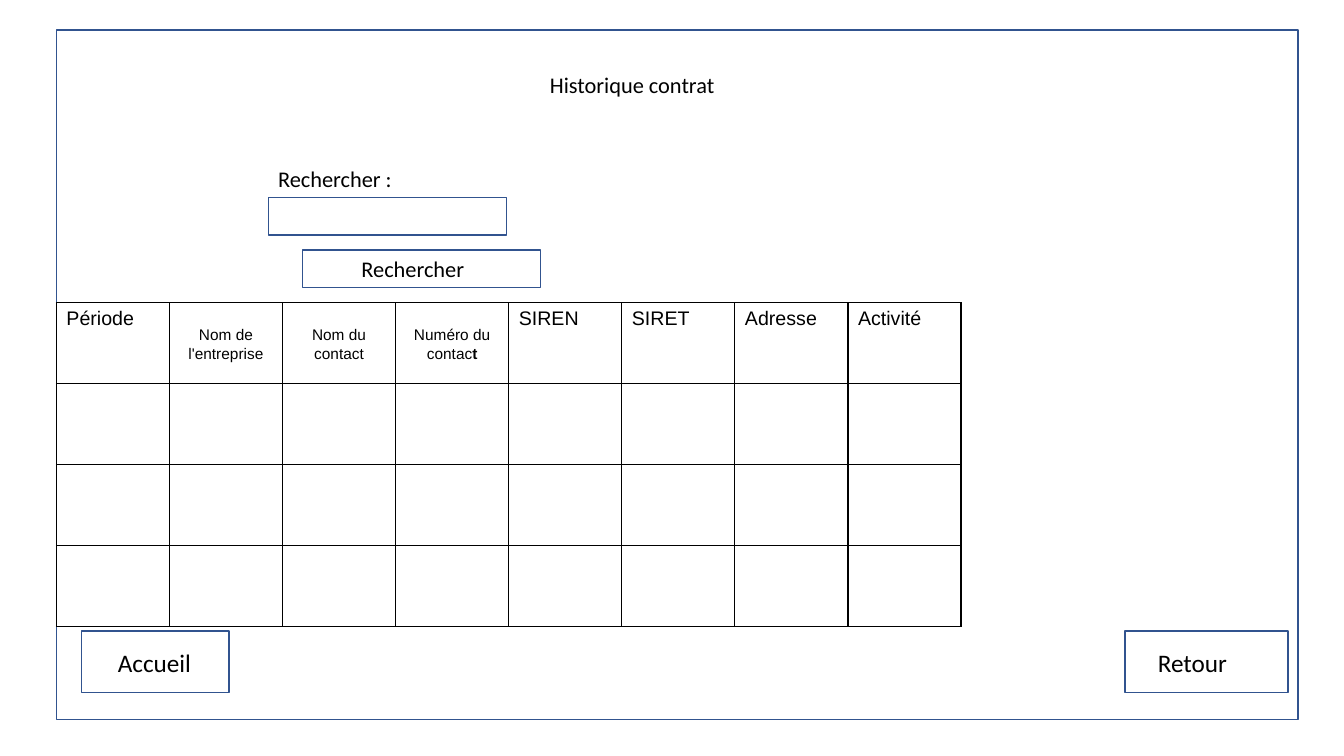
from lxml.etree import SubElement as Sub
from pptx import Presentation
from pptx.dml.color import RGBColor as RGB
from pptx.enum.shapes import MSO_SHAPE as Kind
from pptx.enum.text import MSO_ANCHOR as Anchor, MSO_AUTO_SIZE as Auto, PP_ALIGN as Align
from pptx.oxml.ns import qn
from pptx.util import Cm, Pt


def color(code):
    return RGB.from_string(code)


def write(para, text, **form):
    run = para.add_run()
    run.text = text
    run.font.color.rgb = color("000000")
    for key, val in form.items():
        setattr(run.font, key, val)


deck = Presentation()
deck.slide_width, deck.slide_height = Cm(33.87), Cm(19.05)
slide = deck.slides.add_slide(deck.slide_layouts[5])
shapes = slide.shapes

# Window frame, search field and buttons
boxes = [
    (1.42, 0.76, 31.29, 17.37),
    (6.76, 4.98, 6, 0.94),
    (7.62, 6.3, 6, 0.94),
    (2.06, 15.9, 3.71, 1.55),
    (28.35, 15.9, 4.11, 1.55),
]
for box in boxes:
    rect = shapes.add_shape(Kind.RECTANGLE, *map(Cm, box))
    rect.shadow.inherit = False
    rect.fill.background()
    rect.line.color.rgb = color("31538F")
    rect.line.width = Pt(1)

# Title and labels
title = shapes.title
title.left, title.top, title.width, title.height = map(Cm, (13.61, 1.65, 6.68, 0.94))
labels = [
    (title, "Historique contrat", 16),
    (shapes.add_textbox(Cm(6.76), Cm(4.04), Cm(6.68), Cm(0.94)), "Rechercher :", 16),
    (shapes.add_textbox(Cm(8.86), Cm(6.3), Cm(3.23), Cm(0.94)), "Rechercher", 16),
    (shapes.add_textbox(Cm(2.72), Cm(16.18), Cm(3.71), Cm(1.02)), "Accueil", 18),
    (shapes.add_textbox(Cm(28.93), Cm(16.18), Cm(4.11), Cm(1.02)), "Retour", 18),
]
frame_form = {
    "word_wrap": True,
    "auto_size": Auto.NONE,
    "vertical_anchor": Anchor.TOP,
    "margin_left": Cm(0.25),
    "margin_right": Cm(0.25),
    "margin_top": Cm(0.13),
    "margin_bottom": Cm(0.13),
}
for label, text, size in labels:
    frame = label.text_frame
    for key, val in frame_form.items():
        setattr(frame, key, val)
    para = frame.paragraphs[0]
    para.alignment = Align.LEFT
    write(para, text, name="Calibri", size=Pt(size))

# Contract table
heads = ["Période", "Nom de l'entreprise", "Nom du contact", "Numéro du contac",
         "SIREN", "SIRET", "Adresse", "Activité"]
small = range(1, 4)
rows, cols = 4, len(heads)
wide, high = Cm(2.85), Cm(2.04)
table = shapes.add_table(rows, cols, Cm(1.42), Cm(7.63), wide * cols, high * rows).table
table.first_row = table.horz_banding = False
for col in table.columns:
    col.width = wide
for row in table.rows:
    row.height = high

# Cell borders, thinner around the small headings
for spot, cell in enumerate(table.iter_cells()):
    props = cell._tc.get_or_add_tcPr()
    width = Pt(0.75) if spot in small else Pt(1)
    for side in ("lnL", "lnR", "lnT", "lnB"):
        line = Sub(props, qn("a:" + side), w=str(width))
        Sub(Sub(line, qn("a:solidFill")), qn("a:srgbClr"), val="000000")
    cell.fill.background()

# Headings
pads = ("margin_left", "margin_right", "margin_top", "margin_bottom")
for num, head in enumerate(heads):
    cell = table.cell(0, num)
    para = cell.text_frame.paragraphs[0]
    size = Pt(14)
    if num in small:
        size = Pt(11)
        cell.vertical_anchor = Anchor.MIDDLE
        para.alignment = Align.CENTER
        para.line_spacing = 1.15
        for pad in pads:
            setattr(cell, pad, Cm(0.25))
    write(para, head, name="Arial", size=size)
    if head.endswith("contac"):
        write(para, "t", name="Arial", size=size, bold=True)

deck.save("out.pptx")
